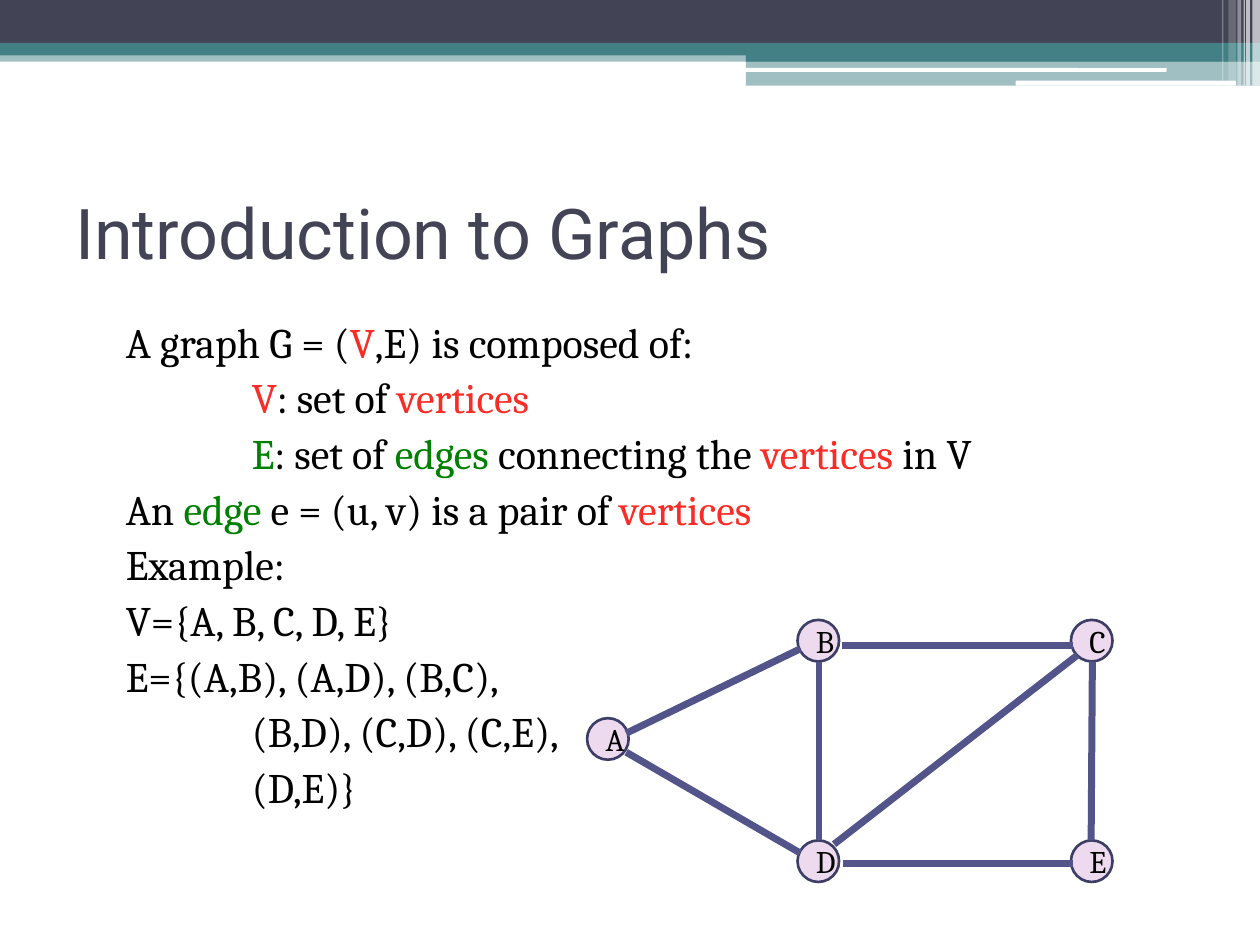
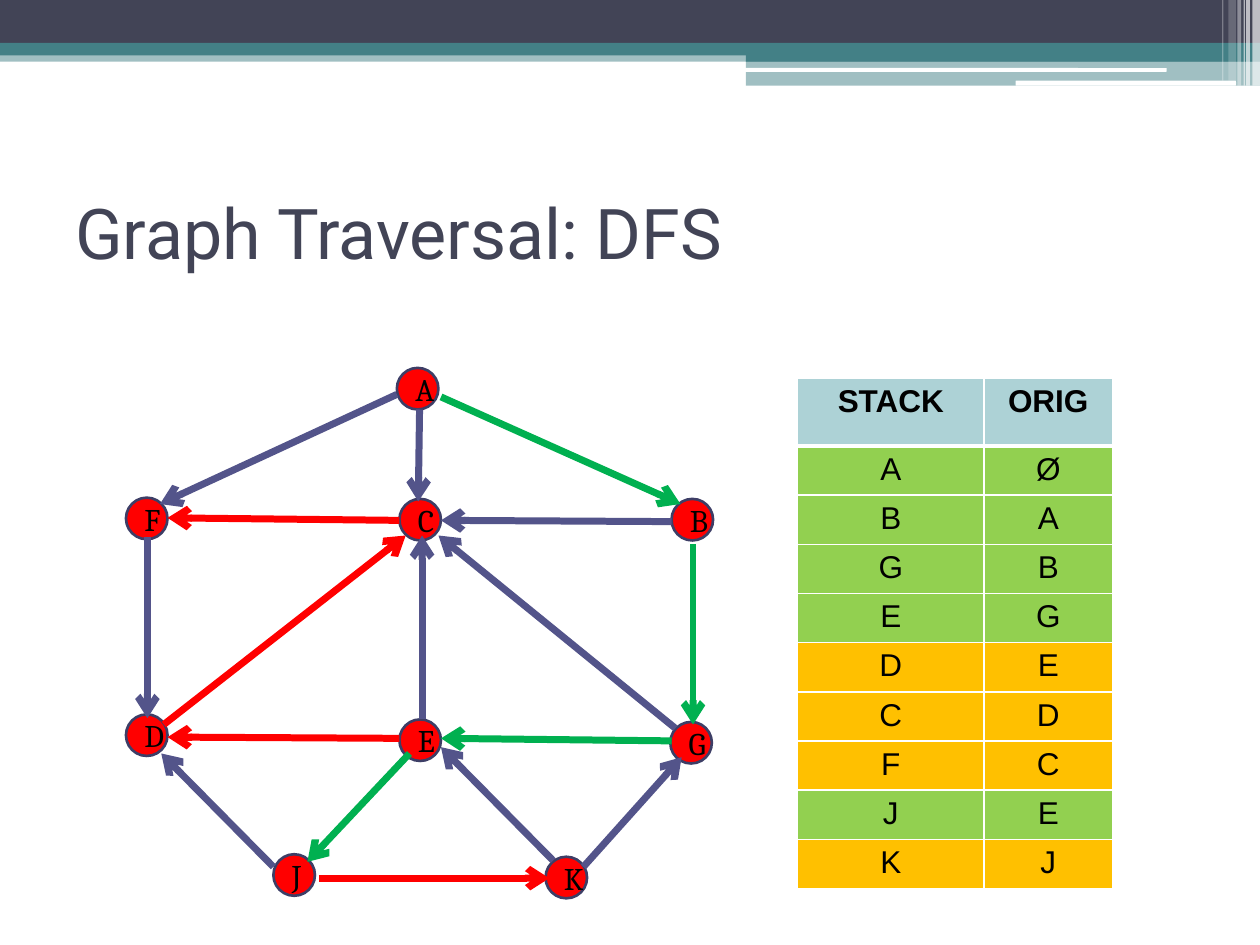
from lxml import etree
from pptx import Presentation
from pptx.dml.color import RGBColor
from pptx.enum import shapes, text
from pptx.oxml import ns
from pptx.util import Inches, Pt

NAVY, TEAL, WHITE, BLACK = "424456", "438086", "FFFFFF", "000000"
INDIGO, OUTLINE, LILAC = "53548A", "3D3E66", "EDDAEE"
RED, GREEN = "FF0000", "00B050"
VERTEX_INK, EDGE_INK = "FA2C25", "008000"
PALE_TEAL, LIME, AMBER = "ADD2D6", "92D050", "FFC000"

RECT = shapes.MSO_SHAPE.RECTANGLE
ROUNDED = shapes.MSO_SHAPE.ROUNDED_RECTANGLE
NODE_SIZE = 0.33

BANDS = [
    (RECT, (0, 0.4, 10, 0.09), TEAL, 50),
    (RECT, (0, 0, 10, 0.34), NAVY, 100),
    (RECT, (0, 0.34, 10, 0.1), TEAL, 100),
    (RECT, (5.92, 0.39, 4.08, 0.1), TEAL, 100),
    (RECT, (5.92, 0.48, 4.08, 0.2), TEAL, 50),
    (ROUNDED, (5.91, 0.54, 3.35, 0.03), WHITE, 100),
    (ROUNDED, (8.06, 0.64, 1.75, 0.04), WHITE, 100),
]
STRIPES = [
    (9.94, 0.06, 0.68, 65),
    (9.89, 0.03, 0.68, 65),
    (9.87, 0.01, 0.68, 60),
    (9.82, 0.03, 0.68, 40),
    (9.75, 0.06, 0.64, 20),
    (9.7, 0.01, 0.64, 30),
]

DEFINITION = [
    (0, [("A graph G = (", BLACK), ("V", VERTEX_INK), (",E) is composed of:", BLACK)]),
    (1, [("V", VERTEX_INK), (": set of ", BLACK), ("vertices", VERTEX_INK)]),
    (1, [("E", EDGE_INK), (": set of ", BLACK), ("edges", EDGE_INK),
         (" connecting the ", BLACK), ("vertices", VERTEX_INK), (" in V", BLACK)]),
    (0, [("An ", BLACK), ("edge", EDGE_INK), (" e = (u, v) is a pair of ", BLACK),
         ("vertices", VERTEX_INK)]),
    (0, [("Example:", BLACK)]),
    (0, [("V={A, B, C, D, E}", BLACK)]),
    (0, [("E={(A,B), (A,D), (B,C),", BLACK)]),
    (1, [("(B,D), (C,D), (C,E),", BLACK)]),
    (1, [("(D,E)}", BLACK)]),
]

EXAMPLE_NODES = {"B": (6.33, 4.92), "A": (4.66, 5.7), "D": (6.33, 6.67),
                 "E": (8.5, 6.67), "C": (8.5, 4.92)}
EXAMPLE_EDGES = [
    (INDIGO, [
        (6.68, 5.12, 8.52, 5.12), (6.69, 6.85, 8.52, 6.85),
        (6.5, 5.25, 6.5, 6.67), (8.67, 5.25, 8.66, 6.67),
        (4.97, 5.82, 6.35, 5.15), (4.97, 5.97, 6.35, 6.77),
        (6.62, 6.7, 8.55, 5.2),
    ]),
]

DFS_NODES = {"C": (3.17, 3.96), "A": (3.15, 2.92), "E": (3.17, 5.71),
             "G": (5.32, 5.73), "B": (5.33, 3.96), "F": (1, 3.95),
             "D": (1, 5.67), "K": (4.33, 6.8), "J": (2.17, 6.78)}
DFS_EDGES = [
    (INDIGO, [
        (3.35, 5.71, 3.35, 4.25), (1.17, 4.26, 1.17, 5.7),
        (3.15, 3.13, 1.27, 4), (2.17, 6.88, 1.28, 5.98),
        (4.63, 6.88, 5.41, 6.01), (4.39, 6.83, 3.5, 5.93),
        (3.33, 3.25, 3.32, 3.98), (5.33, 4.14, 3.5, 4.13),
        (5.36, 5.78, 3.48, 4.25),
    ]),
    (RED, [
        (1.3, 5.75, 3.22, 4.25), (3.17, 4.13, 1.33, 4.11),
        (2.53, 6.97, 4.36, 6.97), (3.17, 5.86, 1.33, 5.85),
    ]),
    (GREEN, [
        (3.5, 3.15, 5.4, 4), (3.25, 5.98, 2.44, 6.84),
        (5.5, 4.32, 5.5, 5.75), (5.33, 5.88, 3.5, 5.86),
    ]),
]

VISITS = [
    ("STACK", "ORIG", PALE_TEAL),
    ("A", "Ø", LIME),
    ("B", "A", LIME),
    ("G", "B", LIME),
    ("E", "G", LIME),
    ("D", "E", AMBER),
    ("C", "D", AMBER),
    ("F", "C", AMBER),
    ("J", "E", LIME),
    ("K", "J", AMBER),
]
VISIT_COLUMNS = (1.48, 1.02)
HEADER_HEIGHT, VISIT_HEIGHT = 0.54, 0.34

TITLE_FONT = {"name": "Roboto", "size": Pt(40)}
BODY_FONT = {"name": "Cambria", "size": Pt(24)}
NODE_FONT = {"name": "Cambria", "size": Pt(18)}
VISIT_FONT = {"name": "Arial", "size": Pt(18)}
CENTERED = {"alignment": text.PP_ALIGN.CENTER}
JUSTIFIED = {"alignment": text.PP_ALIGN.JUSTIFY, "space_before": Pt(3)}
MIDDLE = {"word_wrap": True, "vertical_anchor": text.MSO_ANCHOR.MIDDLE}
CELL_MARGINS = {"margin_top": Inches(0.045), "margin_bottom": Inches(0.045)}


def inches(values):
    return [Inches(value) for value in values]


def rgb(color):
    return RGBColor.from_string(color)


def apply(target, formats):
    for name, value in formats.items():
        setattr(target, name, value)


def child(parent, tag, **attributes):
    return etree.SubElement(parent, ns.qn(tag), attributes)


def paint(fill, color, opacity=100):
    fill.solid()
    fill.fore_color.rgb = rgb(color)
    if opacity < 100:
        shade = fill._xPr.find(ns.qn("a:solidFill"))[0]
        child(shade, "a:alpha", val=str(opacity * 1000))


def write(paragraph, words, font, color):
    run = paragraph.add_run()
    run.text = words
    apply(run.font, font)
    run.font.color.rgb = rgb(color)


def add_band(slide, kind, place, color, opacity):
    band = slide.shapes.add_shape(kind, *inches(place))
    band.shadow.inherit = False
    paint(band.fill, color, opacity)
    band.line.fill.background()


def add_titled_slide(deck, title):
    slide = deck.slides.add_slide(deck.slide_layouts[6])
    for band in BANDS:
        add_band(slide, *band)
    for left, width, height, opacity in STRIPES:
        add_band(slide, RECT, (left, 0, width, height), WHITE, opacity)
    heading = slide.shapes.add_textbox(*inches((0.5, 1.25, 9, 1.17))).text_frame
    apply(heading, MIDDLE)
    write(heading.paragraphs[0], title, TITLE_FONT, NAVY)
    return slide


def add_definition(slide):
    body = slide.shapes.add_textbox(*inches((0.5, 2.46, 9.33, 4.73))).text_frame
    body.word_wrap = True
    for index, (level, pieces) in enumerate(DEFINITION):
        statement = body.add_paragraph() if index else body.paragraphs[0]
        apply(statement, JUSTIFIED)
        statement._p.get_or_add_pPr().set("marL", str(Inches(0.4 + level)))
        for words, color in pieces:
            write(statement, words, BODY_FONT, color)


def add_graph(slide, nodes, edges, node_color, directed):
    for letter, corner in nodes.items():
        node = slide.shapes.add_shape(
            shapes.MSO_SHAPE.OVAL, *inches((*corner, NODE_SIZE, NODE_SIZE)))
        node.shadow.inherit = False
        paint(node.fill, node_color)
        paint(node.line.fill, OUTLINE)
        node.line.width = Pt(1.5)
        apply(node.text_frame, MIDDLE)
        label = node.text_frame.paragraphs[0]
        apply(label, CENTERED)
        write(label, letter, NODE_FONT, BLACK)
    for color, ends in edges:
        for end in ends:
            edge = slide.shapes.add_connector(
                shapes.MSO_CONNECTOR.STRAIGHT, *inches(end))
            paint(edge.line.fill, color)
            edge.line.width = Pt(4)
            if directed:
                child(edge.line._get_or_add_ln(), "a:tailEnd", type="arrow")
            child(edge._element.spPr, "a:effectLst")


def add_borders(cell, bottom):
    properties = cell._tc.get_or_add_tcPr()
    for side, width in (("L", 1), ("R", 1), ("T", 1), ("B", bottom)):
        border = child(properties, "a:ln" + side, w=str(Pt(width)))
        child(child(border, "a:solidFill"), "a:srgbClr", val=WHITE)


def add_visits(slide):
    heights = [HEADER_HEIGHT] + [VISIT_HEIGHT] * (len(VISITS) - 1)
    place = (6.33, 3, sum(VISIT_COLUMNS), sum(heights))
    visits = slide.shapes.add_table(
        len(VISITS), len(VISIT_COLUMNS), *inches(place)).table
    for column, width in zip(visits.columns, VISIT_COLUMNS):
        column.width = Inches(width)
    for index, (*letters, color) in enumerate(VISITS):
        visits.rows[index].height = Inches(heights[index])
        is_header = index == 0
        for cell, letter in zip(visits.rows[index].cells, letters):
            apply(cell, CELL_MARGINS)
            add_borders(cell, 3 if is_header else 1)
            paint(cell.fill, color)
            entry = cell.text_frame.paragraphs[0]
            apply(entry, CENTERED)
            write(entry, letter, {**VISIT_FONT, "bold": is_header}, BLACK)


def main():
    deck = Presentation()
    apply(deck, {"slide_width": Inches(10), "slide_height": Inches(7.5)})

    introduction = add_titled_slide(deck, "Introduction to Graphs")
    add_definition(introduction)
    add_graph(introduction, EXAMPLE_NODES, EXAMPLE_EDGES, LILAC, directed=False)

    traversal = add_titled_slide(deck, "Graph Traversal: DFS")
    add_graph(traversal, DFS_NODES, DFS_EDGES, RED, directed=True)
    add_visits(traversal)

    deck.save("out.pptx")


if __name__ == "__main__":
    main()
